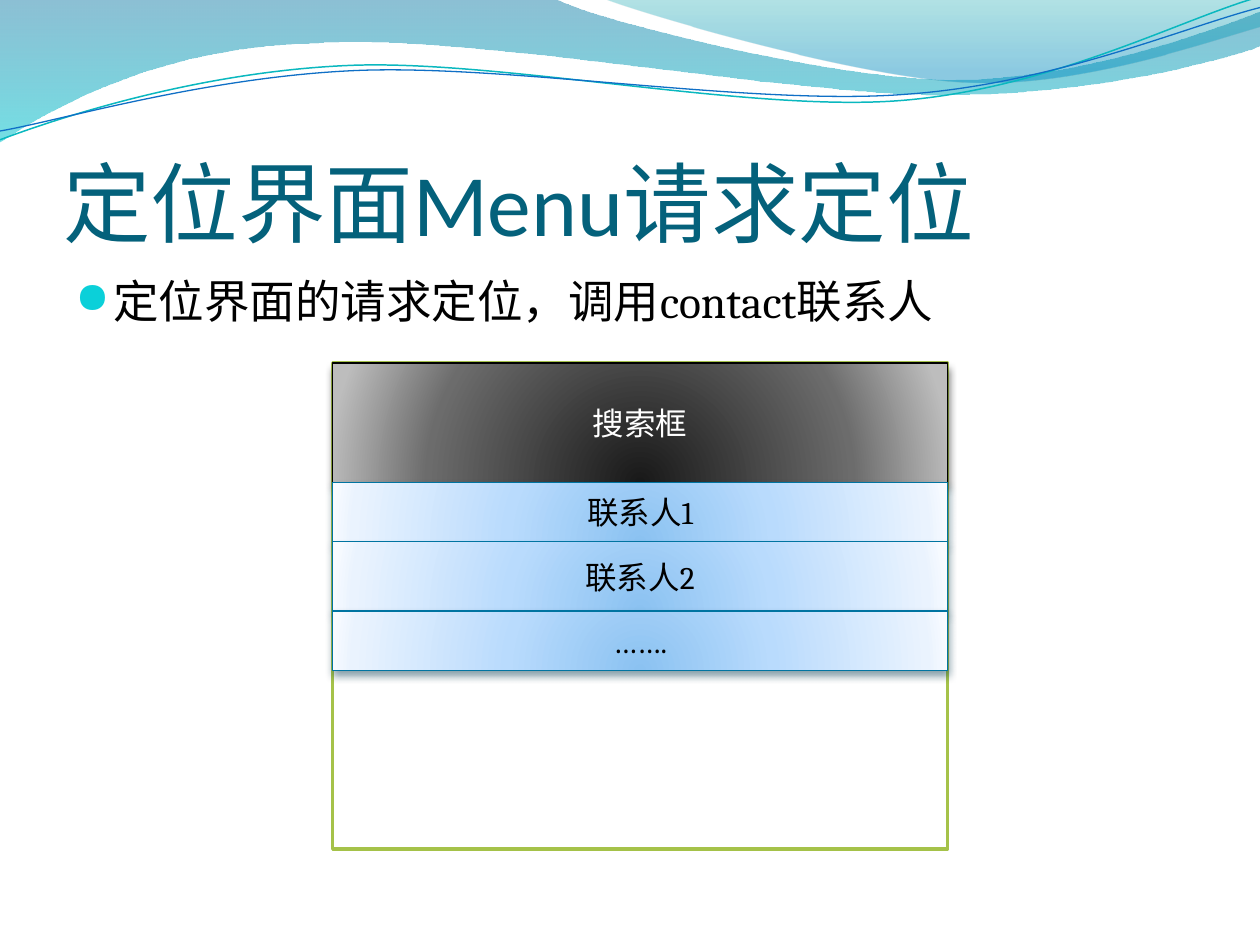
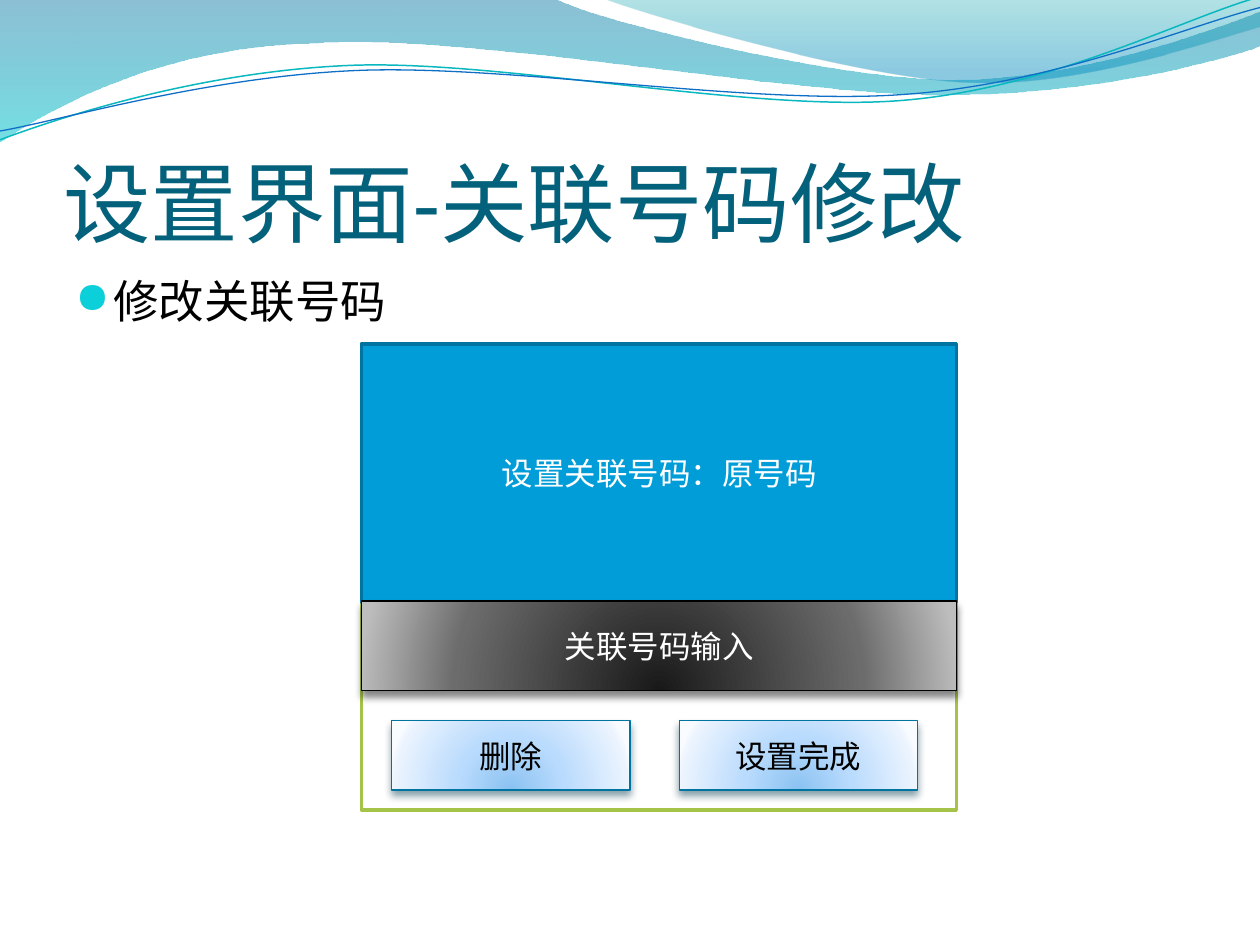
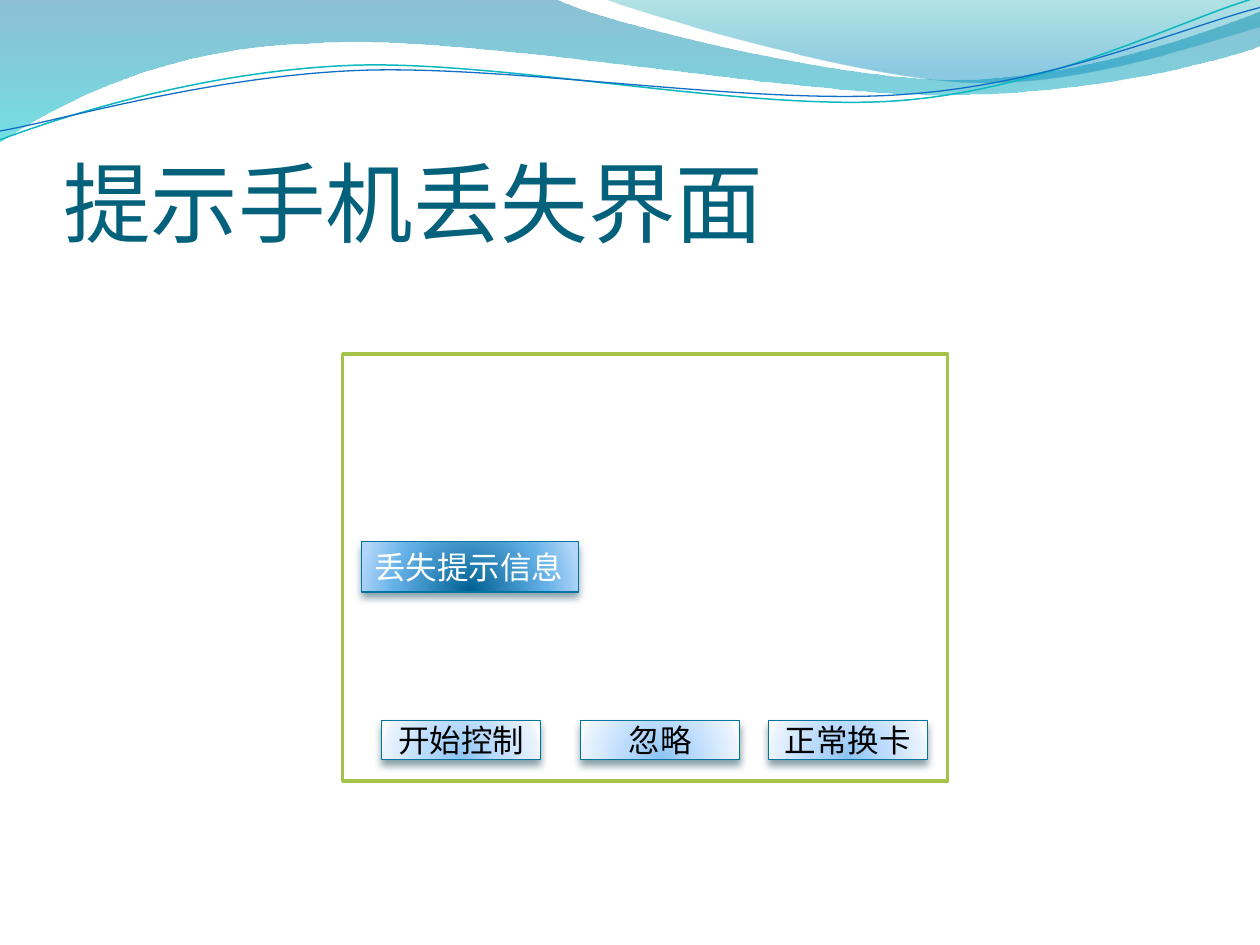
from lxml import etree
from pptx import Presentation
from pptx.dml.color import RGBColor
from pptx.enum.shapes import MSO_SHAPE
from pptx.enum.text import MSO_ANCHOR, MSO_AUTO_SIZE, PP_ALIGN
from pptx.oxml import parse_xml
from pptx.oxml.ns import nsdecls, qn
from pptx.util import Inches, Pt

RECTANGLE = MSO_SHAPE.RECTANGLE
TOP, MIDDLE, BOTTOM = MSO_ANCHOR.TOP, MSO_ANCHOR.MIDDLE, MSO_ANCHOR.BOTTOM
LEFT, CENTER = PP_ALIGN.LEFT, PP_ALIGN.CENTER
NO_FIT, GROW = MSO_AUTO_SIZE.NONE, MSO_AUTO_SIZE.SHAPE_TO_FIT_TEXT

WHITE = RGBColor(0xFF, 0xFF, 0xFF)
BLACK = RGBColor(0x00, 0x00, 0x00)
TITLE_BLUE = RGBColor(0x04, 0x61, 0x7B)
BULLET_CYAN = RGBColor(0x0B, 0xD0, 0xD9)
FRAME_GREEN = RGBColor(0xA5, 0xC2, 0x49)
BRIGHT_BLUE = RGBColor(0x00, 0x9D, 0xD9)
EDGE_BLUE = RGBColor(0x00, 0x74, 0xA1)
SHADOW_BLUE = RGBColor(0x00, 0x37, 0x4C)
WAVE_TEAL = RGBColor(0x0A, 0xB8, 0xBF)
WAVE_BLUE = RGBColor(0x0F, 0x6F, 0xC6)

HEADING_FONT, BODY_FONT = "Calibri", "Cambria"

# Gradient stops: position %, colour, opacity %
DARK_STOPS = [(0, "191919", 100), (68, "6C6C6C", 100), (100, "BDBDBD", 100)]
PALE_STOPS = [(0, "8BC2F1", 100), (43, "B9DBFD", 100),
              (93, "EAF3FE", 100), (100, "F8FBFF", 100)]
DEEP_STOPS = [(0, "006091", 100), (68, "64B1E7", 100), (100, "B1D6F9", 100)]
DOWNWARD = '<a:lin ang="5400000" scaled="0"/>'
FROM_BELOW = ('<a:path path="circle"><a:fillToRect l="50000" t="130000" '
              'r="50000" b="-30000"/></a:path>')

# Panel styles: gradient, edge, shadow and text colours
DARK = (DARK_STOPS, BLACK, BLACK, WHITE)
PALE = (PALE_STOPS, EDGE_BLUE, SHADOW_BLUE, BLACK)
DEEP = (DEEP_STOPS, EDGE_BLUE, SHADOW_BLUE, WHITE)

# Each wave: start, then segments of one point (line) or three (curve)
BACK_WAVE = ((0, 0), [
    [(4.4, -0.01)],
    [(4.76, 0.17), (6.64, 0.63), (7.58, 0.63)],
    [(8.53, 0.63), (9.58, 0.26), (10, 0.09)],
    [(10.01, 0.36)],
    [(9.83, 0.44), (8.7, 0.76), (7.46, 0.75)],
    [(6.22, 0.75), (3.82, 0.28), (2.57, 0.34)],
    [(1.29, 0.36), (0.46, 0.83), (-0.01, 1.13)]])
RIGHT_WAVE = ((4.79, -0.01), [
    [(5.09, 0.11), (6.82, 0.62), (7.69, 0.65)],
    [(8.56, 0.69), (9.61, 0.32), (10, 0.21)],
    [(10, 0)]])
TEAL_CURVE = ((0, 1.11), [
    [(0.48, 0.93), (1.58, 0.57), (2.77, 0.52)],
    [(3.95, 0.47), (5.93, 0.89), (7.13, 0.8)],
    [(8.33, 0.71), (9.38, 0.15), (9.98, -0.02)]])
BLUE_CURVE = ((0, 1.04), [
    [(0.47, 0.96), (1.64, 0.61), (2.83, 0.56)],
    [(4.03, 0.51), (5.97, 0.84), (7.17, 0.75)],
    [(8.36, 0.67), (9.41, 0.21), (10, 0.06)]])


def fill_gradient(shape, stops, direction):
    """Fill a shape with gradient stops running in the given direction."""
    shape.fill.gradient()
    marks = "".join(
        f'<a:gs pos="{place * 1000}"><a:srgbClr val="{color}">'
        f'<a:alpha val="{opacity * 1000}"/></a:srgbClr></a:gs>'
        for place, color, opacity in stops)
    gradient = parse_xml(f'<a:gradFill {nsdecls("a")} rotWithShape="1">'
                         f'<a:gsLst>{marks}</a:gsLst>{direction}</a:gradFill>')
    properties = shape.element.spPr
    properties.replace(properties.find(qn("a:gradFill")), gradient)


def cast_shadow(shape, color):
    """Give a shape a soft shadow just below it."""
    shape.element.spPr.find(qn("a:effectLst")).append(parse_xml(
        f'<a:outerShdw {nsdecls("a")} blurRad="{Pt(4.5)}" dist="{Pt(3)}" '
        f'dir="5400000" rotWithShape="0"><a:srgbClr val="{color}">'
        '<a:alpha val="48000"/></a:srgbClr></a:outerShdw>'))


def format_text(para, font, size, color, align):
    """Align a paragraph and format its runs."""
    para.alignment = align
    for span in para.runs:
        span.font.name = font
        span.font.size = Pt(size)
        span.font.color.rgb = color


def add_wave(page, outline, closed):
    """Draw a freeform of straight and curved segments."""
    start, segments = outline
    points = [(Inches(x), Inches(y)) for part in segments for x, y in part]
    builder = page.shapes.build_freeform(Inches(start[0]), Inches(start[1]), 1.0)
    builder.add_line_segments(points, close=closed)
    wave = builder.convert_to_shape()
    wave.shadow.inherit = False
    lines = iter(wave.element.xpath(".//a:path/a:lnTo"))
    for part in segments:
        steps = [next(lines) for _ in part]
        if len(steps) == 3:
            curve = etree.Element(qn("a:cubicBezTo"))
            steps[0].addprevious(curve)
            for step in steps:
                curve.append(step[0])
                step.getparent().remove(step)
    return wave


def add_wave_band(deck, page):
    """Draw the waves at the top and hand them over to the slide master."""
    waves = []
    for outline, stops in (
            (BACK_WAVE, [(0, "0074A1", 45), (100, "00C6CF", 55)]),
            (RIGHT_WAVE, [(0, "00A1A9", 30), (80, "008BBF", 45)])):
        wave = add_wave(page, outline, True)
        fill_gradient(wave, stops, DOWNWARD)
        wave.line.fill.background()
        waves.append(wave)
    for outline, color, width in ((TEAL_CURVE, WAVE_TEAL, 0.85),
                                  (BLUE_CURVE, WAVE_BLUE, 0.75)):
        wave = add_wave(page, outline, False)
        wave.fill.background()
        wave.line.color.rgb = color
        wave.line.width = Pt(width)
        waves.append(wave)
    for index, wave in enumerate(waves):
        wave.element.xpath(".//p:cNvPr")[0].set("id", str(100 + index))
        deck.slide_master.shapes.element.insert(2 + index, wave.element)


def add_page(deck, title):
    """Add a title-only slide and format its title."""
    page = deck.slides.add_slide(deck.slide_layouts[5])
    box = page.shapes.title
    box.left, box.top = Inches(0.5), Inches(0.77)
    box.width, box.height = Inches(9), Inches(1.25)
    frame = box.text_frame
    frame.text = title
    frame.auto_size = NO_FIT
    frame.vertical_anchor = BOTTOM
    frame.margin_left = frame.margin_right = frame.margin_bottom = 0
    frame.margin_top = Inches(0.05)
    format_text(frame.paragraphs[0], HEADING_FONT, 50, TITLE_BLUE, LEFT)
    return page


def add_bullet(page, text):
    """Add the bulleted line under the title."""
    box = page.shapes.add_textbox(Inches(0.5), Inches(2.12), Inches(9), Inches(4.8))
    box.text_frame.word_wrap = True
    para = box.text_frame.paragraphs[0]
    para.text = text
    para.space_before = Pt(5.2)
    format_text(para, BODY_FONT, 26, BLACK, LEFT)
    settings = box.element.xpath(".//a:pPr")[0]
    settings.set("marL", str(Inches(0.3)))
    settings.set("indent", str(Inches(-0.3)))
    for markup in (f'<a:buClr {nsdecls("a")}><a:srgbClr val="{BULLET_CYAN}"/></a:buClr>',
                   f'<a:buSzPct {nsdecls("a")} val="95000"/>',
                   f'<a:buChar {nsdecls("a")} char="●"/>'):
        settings.append(parse_xml(markup))


def add_block(page, left, top, width, height, edge, line_width):
    """Add a plain rectangle with an edge."""
    block = page.shapes.add_shape(RECTANGLE, Inches(left), Inches(top),
                                  Inches(width), Inches(height))
    block.shadow.inherit = False
    block.line.color.rgb = edge
    block.line.width = Pt(line_width)
    return block


def add_solid(page, left, top, width, height, color, edge):
    """Add a solid rectangle with a thick edge."""
    block = add_block(page, left, top, width, height, edge, 2)
    block.fill.solid()
    block.fill.fore_color.rgb = color
    return block


def label_block(block, text, color, align=CENTER, anchor=MIDDLE):
    """Write a label in a block."""
    frame = block.text_frame
    frame.text = text
    frame.word_wrap = True
    frame.vertical_anchor = anchor
    format_text(frame.paragraphs[0], BODY_FONT, 18, color, align)


def add_panel(page, left, top, width, height, text, style, **placing):
    """Add a labelled gradient panel with a shadow."""
    stops, edge, shade, color = style
    panel = add_block(page, left, top, width, height, edge, 0.75)
    fill_gradient(panel, stops, FROM_BELOW)
    cast_shadow(panel, shade)
    label_block(panel, text, color, **placing)
    return panel


def draw_contact_screen(page, left, top, width, height):
    """Draw the screen with a search box above the contact list."""
    add_solid(page, left, top, width, height, WHITE, FRAME_GREEN)
    for text, row_height, style in (("搜索框", 0.95, DARK), ("联系人1", 0.47, PALE),
                                    ("联系人2", 0.55, PALE), ("…….", 0.47, PALE)):
        add_panel(page, left, top, width, row_height, text, style)
        top += row_height


def draw_number_screen(page, left, top, width, height):
    """Draw the screen for changing the linked number."""
    add_solid(page, left, top, width, height, WHITE, FRAME_GREEN)
    notice = add_solid(page, left, top, width, 2.05, BRIGHT_BLUE, EDGE_BLUE)
    label_block(notice, "设置关联号码：原号码", WHITE)
    add_panel(page, left, top + 2.04, width, 0.71, "关联号码输入", DARK)
    for offset, text in ((2.52, "设置完成"), (0.24, "删除")):
        add_panel(page, left + offset, top + 2.99, 1.89, 0.55, text, PALE)


def draw_lost_screen(page, left, top, width, height):
    """Draw the lost phone screen with its message and three buttons."""
    add_solid(page, left, top, width, height, WHITE, FRAME_GREEN)
    for offset, text in ((0.31, "开始控制"), (1.89, "忽略"), (3.38, "正常换卡")):
        add_panel(page, left + offset, top + 2.91, 1.26, 0.31, text, PALE)
    message = add_panel(page, left + 0.15, top + 1.49, 1.72, 0.4, "丢失提示信息",
                        DEEP, align=LEFT, anchor=TOP)
    message.text_frame.word_wrap = False
    message.text_frame.auto_size = GROW


def main():
    """Build and save the deck."""
    deck = Presentation()
    deck.slide_width, deck.slide_height = Inches(10), Inches(7.5)

    page = add_page(deck, "定位界面Menu请求定位")
    add_wave_band(deck, page)
    add_bullet(page, "定位界面的请求定位，调用contact联系人")
    draw_contact_screen(page, 2.64, 2.88, 4.88, 3.86)

    page = add_page(deck, "设置界面-关联号码修改")
    add_bullet(page, "修改关联号码")
    draw_number_screen(page, 2.87, 2.73, 4.72, 3.7)

    page = add_page(deck, "提示手机丢失界面")
    draw_lost_screen(page, 2.72, 2.81, 4.8, 3.39)

    deck.save("out.pptx")


main()
